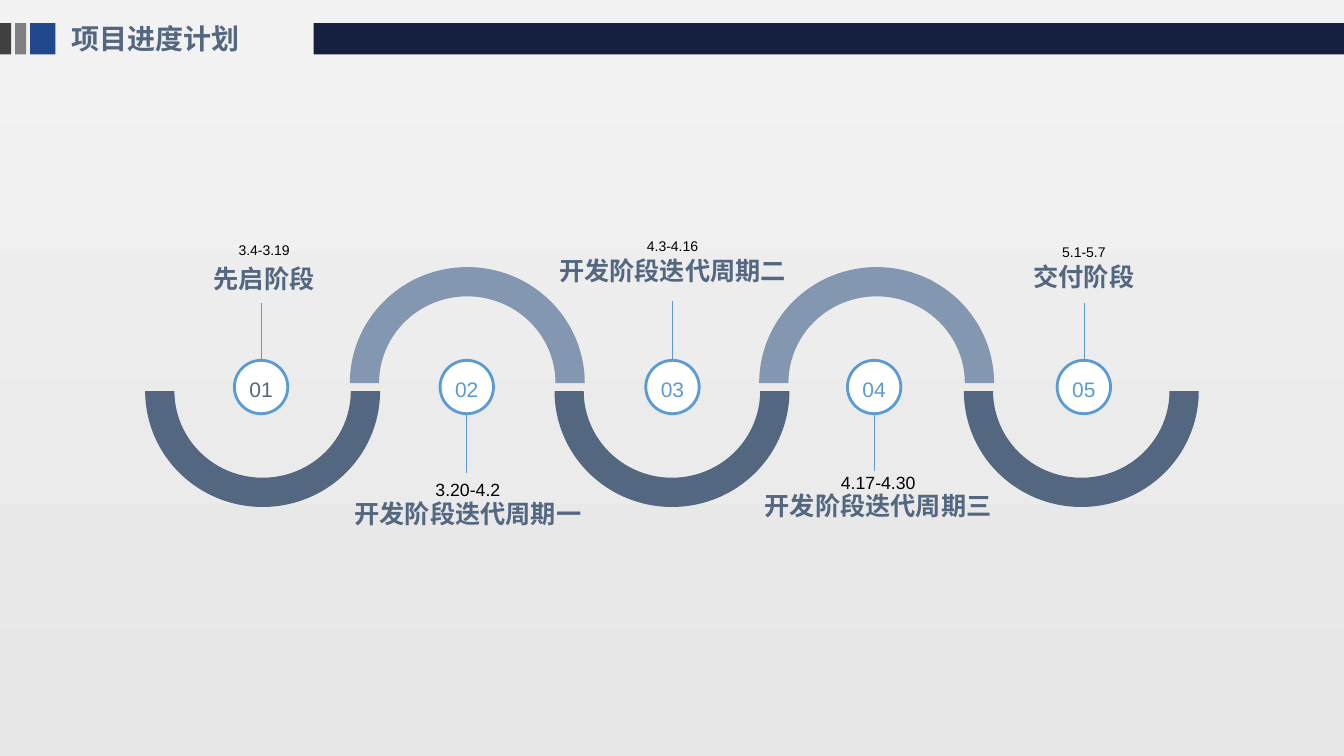
from dataclasses import dataclass

from lxml import etree
from pptx import Presentation
from pptx.dml.color import RGBColor
from pptx.enum.shapes import MSO_CONNECTOR, MSO_SHAPE
from pptx.enum.text import MSO_ANCHOR, PP_ALIGN
from pptx.oxml.ns import qn
from pptx.util import Inches, Pt

RECT, OVAL, BLOCK_ARC = MSO_SHAPE.RECTANGLE, MSO_SHAPE.OVAL, MSO_SHAPE.BLOCK_ARC
STRAIGHT = MSO_CONNECTOR.STRAIGHT
CENTER, LEFT = PP_ALIGN.CENTER, PP_ALIGN.LEFT
MIDDLE = MSO_ANCHOR.MIDDLE
HALF_TURN = 108  # 180 degrees in the units of a block arc's adjustments


@dataclass(frozen=True)
class Theme:
    font: str = "Arial"
    bg_top: str = "F2F2F2"
    bg_bottom: str = "E6E6E6"
    dark: str = "404040"
    gray: str = "808080"
    blue: str = "21478D"
    navy: str = "151F40"
    slate: str = "536781"
    arch: str = "8497B0"
    accent: str = "5B9BD5"
    white: str = "FFFFFF"
    black: str = "000000"
    title: float = 20
    name: float = 18
    number: float = 15
    date_above: float = 10
    date_below: float = 12.6


T = Theme()


@dataclass(frozen=True)
class Stage:
    name: str
    dates: str
    x: float        # centre of the circle
    label_x: float  # centre of the labels
    date_y: float
    name_y: float
    line_y: float   # top of the connecting line


STAGES = [
    Stage("先启阶段", "3.4-3.19", 2.59, 2.62, 2.48, 2.76, 3.01),
    Stage("开发阶段迭代周期一", "3.20-4.2", 4.63, 4.64, 4.86, 5.09, 4.12),
    Stage("开发阶段迭代周期二", "4.3-4.16", 6.67, 6.67, 2.44, 2.68, 2.99),
    Stage("开发阶段迭代周期三", "4.17-4.30", 8.67, 8.71, 4.79, 5.01, 4.1),
    Stage("交付阶段", "5.1-5.7", 10.75, 10.75, 2.5, 2.74, 3.01),
]


def rgb(color):
    return RGBColor.from_string(color)


def paint(sp, fill, line=None):
    sp.shadow.inherit = False
    sp.fill.solid()
    sp.fill.fore_color.rgb = rgb(fill)
    if line:
        sp.line.color.rgb = rgb(line)
        sp.line.width = Pt(2)
    else:
        sp.line.fill.background()


def write(sp, text, size, color, bold=False, align=CENTER):
    tf = sp.text_frame
    tf.margin_left = tf.margin_right = tf.margin_top = tf.margin_bottom = 0
    tf.word_wrap = True
    tf.vertical_anchor = MIDDLE
    tf.text = text
    p = tf.paragraphs[0]
    p.alignment = align
    font = p.runs[0].font
    font.name, font.size, font.bold = T.font, Pt(size), bold
    font.color.rgb = rgb(color)
    return tf


def add_rect(s, x, y, w, h, fill):
    paint(s.shapes.add_shape(RECT, Inches(x), Inches(y), Inches(w), Inches(h)), fill)


def add_label(s, cx, cy, text, size, color, bold=False):
    w, h = (2.5, 0.3) if bold else (1.47, 0.2)
    sp = s.shapes.add_textbox(Inches(cx - w / 2), Inches(cy - h / 2), Inches(w), Inches(h))
    write(sp, text, size, color, bold)


def add_background(s):
    fill = s.background.fill
    fill.gradient()
    fill.gradient_angle = 270
    for stop, position, color in zip(fill.gradient_stops, (0, 1), (T.bg_top, T.bg_bottom)):
        stop.position = position
        stop.color.rgb = rgb(color)


def add_header(s, x, y, w, h):
    # Coloured blocks and the long bar
    for dx, bw, color in [(0, 0.11, T.dark), (0.15, 0.11, T.gray),
                          (0.3, 0.25, T.blue), (3.11, w - 3.11, T.navy)]:
        add_rect(s, x + dx, y, bw, h, color)
    # Title
    sp = s.shapes.add_textbox(Inches(x + 0.55), Inches(y - 0.07), Inches(2.56), Inches(0.44))
    tf = write(sp, "项目进度计划", T.title, T.slate, True, LEFT)
    tf.margin_left = Inches(0.16)


def add_wave(s, x, y, h):
    """Half rings in a row: arches at the top of the box, bowls at its bottom."""
    ring_w, ring_h, pitch, thickness = 2.33, 2.3, 2.03, 0.29
    for i in range(len(STAGES)):
        is_arch = i % 2 == 1
        top = y if is_arch else y + h - ring_h
        sp = s.shapes.add_shape(BLOCK_ARC, Inches(x + i * pitch), Inches(top),
                                Inches(ring_w), Inches(ring_h))
        start, end = (HALF_TURN, 0) if is_arch else (0, HALF_TURN)
        sp.adjustments[0], sp.adjustments[1] = start, end
        sp.adjustments[2] = thickness / ring_h
        paint(sp, T.arch if is_arch else T.slate)


def add_stage(s, number, stage, cy):
    above = stage.line_y < cy
    # Connecting line
    line = s.shapes.add_connector(STRAIGHT, Inches(stage.x), Inches(stage.line_y),
                                  Inches(stage.x), Inches(stage.line_y + 0.57))
    line.line.color.rgb = rgb(T.accent)
    line.line.width = Pt(0.5)
    etree.SubElement(line._element.spPr, qn("a:effectLst"))
    # Dates and name
    add_label(s, stage.label_x, stage.date_y, stage.dates,
              T.date_above if above else T.date_below, T.black)
    add_label(s, stage.label_x, stage.name_y, stage.name, T.name, T.slate, True)
    # Numbered circle
    d = 0.53
    sp = s.shapes.add_shape(OVAL, Inches(stage.x - d / 2), Inches(cy - d / 2),
                            Inches(d), Inches(d))
    paint(sp, T.white, T.accent)
    tf = write(sp, f"{number:02d}", T.number, T.slate if number == 1 else T.accent)
    tf.margin_top = Inches(0.05)


def main():
    prs = Presentation()
    prs.slide_width, prs.slide_height = Inches(13.33), Inches(7.5)
    s = prs.slides.add_slide(prs.slide_layouts[6])
    add_background(s)
    add_header(s, 0, 0.23, 13.33, 0.31)
    add_wave(s, 1.44, 2.65, 2.38)
    for number, stage in enumerate(STAGES, 1):
        add_stage(s, number, stage, 3.84)
    prs.save("out.pptx")


if __name__ == "__main__":
    main()
